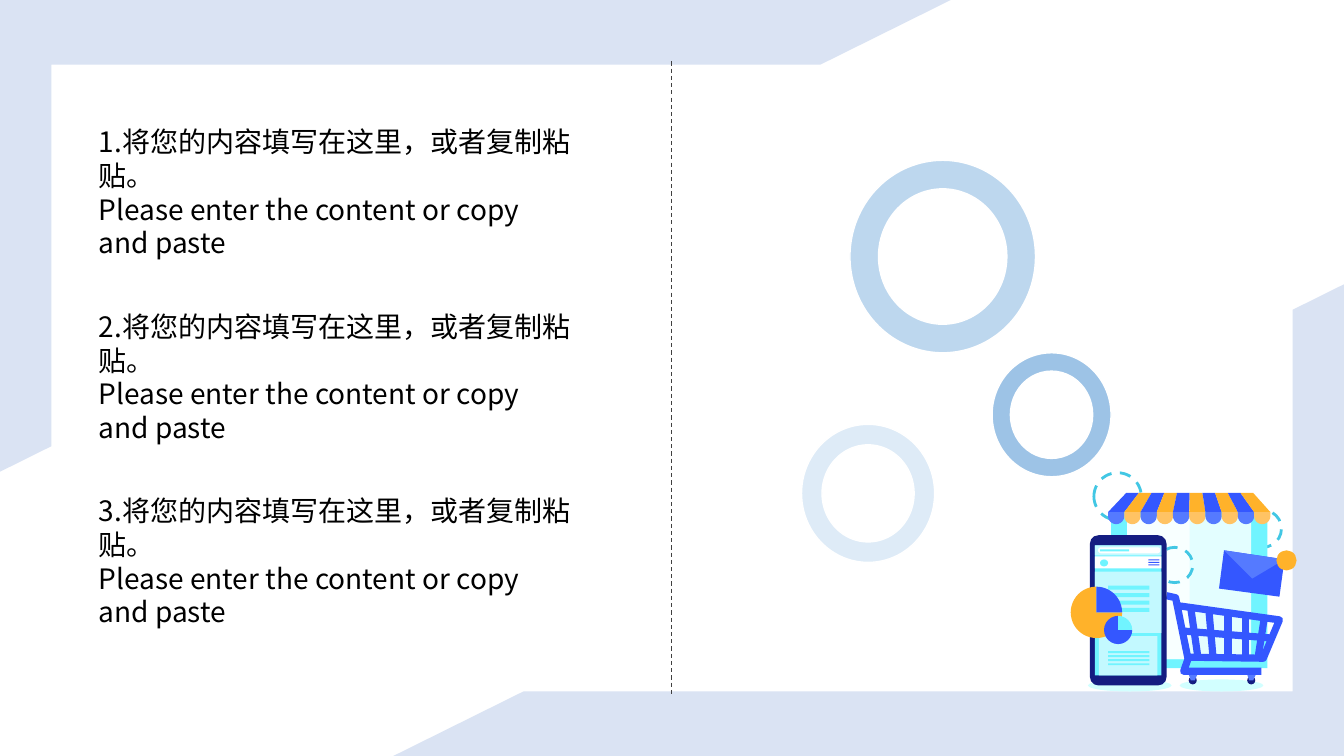
from math import cos, pi, sin

from lxml import etree
from pptx import Presentation
from pptx.dml.color import RGBColor
from pptx.enum.dml import MSO_LINE
from pptx.enum.shapes import MSO_CONNECTOR, MSO_SHAPE
from pptx.oxml.ns import qn
from pptx.util import Inches, Pt

RECT, OVAL, ROUND = MSO_SHAPE.RECTANGLE, MSO_SHAPE.OVAL, MSO_SHAPE.ROUNDED_RECTANGLE
FRAME, DONUT, PIE = MSO_SHAPE.HALF_FRAME, MSO_SHAPE.DONUT, MSO_SHAPE.PIE
STRAIGHT, DASH = MSO_CONNECTOR.STRAIGHT, MSO_LINE.DASH

THEME = {
    "font": "Noto Sans CJK SC", "body": 20, "text": "000000",
    "frame": "DAE3F3", "divider": "404040", "white": "FFFFFF",
    "ring_dark": "9DC3E6", "ring_mid": "BDD7EE", "ring_pale": "DEEBF7",
    "blue": "3457FF", "blue_light": "557AFF", "navy": "141D81",
    "orange": "FFB22A", "orange_light": "FFC364", "dash": "42C7E4",
    "cyan": "70F4FF", "cyan_light": "C3F9FF", "ground": "D2FFFF",
    "wall": "E3FEFF", "wall_light": "F8FFFF",
    "hairline": 0.75, "ring_line": 1, "dash_line": 2, "cart_line": 5.13,
}

prs = Presentation()
prs.slide_width, prs.slide_height = Inches(13.333), Inches(7.5)
COL, ROW = prs.slide_width / 1333, prs.slide_height / 750
slide = prs.slides.add_slide(prs.slide_layouts[6])


def ink(s, color=None, weight="hairline", dash=None):
    if color:
        s.line.color.rgb = RGBColor.from_string(THEME[color])
        s.line.width = Pt(THEME[weight])
        if dash:
            s.line.dash_style = dash
    else:
        s.line.fill.background()
    etree.SubElement(s._element.spPr, qn("a:effectLst"))


def block(kind, x, y, w, h, fill=None, adjust=(), line=None, weight="hairline", dash=None):
    s = slide.shapes.add_shape(kind, round(x * COL), round(y * ROW), round(w * COL), round(h * ROW))
    for i, value in enumerate(adjust):
        s.adjustments[i] = value
    if fill:
        s.fill.solid()
        s.fill.fore_color.rgb = RGBColor.from_string(THEME[fill])
    else:
        s.fill.background()
    ink(s, line, weight, dash)
    return s


block(FRAME, 0, 0, 943, 468, "frame", (0.137, 0.109))
block(FRAME, 390, 282, 943, 468, "frame", (0.137, 0.109)).rotation = 180
divider = slide.shapes.add_connector(
    STRAIGHT, round(666.5 * COL), round(61 * ROW), round(666.5 * COL), round(689 * ROW))
ink(divider, "divider", "hairline", DASH)

for i in range(3):
    tb = slide.shapes.add_textbox(
        round(88 * COL), round((119 + 183 * i) * ROW), round(490 * COL), round(138 * ROW))
    tf = tb.text_frame
    tf.word_wrap = True
    tf.text = f"{i + 1}.将您的内容填写在这里，或者复制粘贴。\nPlease enter the content or copy and paste"
    for p in tf.paragraphs:
        for r in p.runs:
            r.font.size = Pt(THEME["body"])
            r.font.color.rgb = RGBColor.from_string(THEME["text"])
            r.font.name = THEME["font"]
            etree.SubElement(r.font._element, qn("a:ea"), typeface=THEME["font"])

for x, y, w, h, fill in [(984, 350, 118, 123, "ring_dark"), (843, 159, 184, 191, "ring_mid"),
                         (795, 421, 132, 137, "ring_pale")]:
    block(DONUT, x, y, w, h, fill, (0.154,), "white", "ring_line")

for x in (1170, 1079):
    block(OVAL, x, 674, 83, 12, "ground")
for x, y, size in [(1085, 469, 47), (1234, 506, 37)]:
    block(OVAL, x, y, size, size, line="dash", weight="dash_line", dash=DASH)
block(RECT, 1102, 507, 155, 156, "cyan")
block(RECT, 1118, 513, 123, 141, "wall")
block(RECT, 1118, 513, 62, 141, "wall_light")

outlines = []
for i in range(10):
    left, top = 1099 + 16.1 * i, 1117 + 12.6 * i
    stripe, scallop = [("blue", "blue_light"), ("orange", "orange_light")][i % 2]
    outlines.append((stripe, None, [(left, 508), (top, 489), (top + 12.6, 489), (left + 16.1, 508)]))
    arc = [(left + 8.05 + 8.05 * cos(pi * k / 12), 512 + 8 * sin(pi * k / 12)) for k in range(13)]
    outlines.append((scallop, None, [(left, 508), (left + 16.1, 508)] + arc))
outlines += [
    ("blue", None, [(1269, 592), (1209, 584), (1214, 546), (1274, 555)]),
    ("blue_light", None, [(1214, 546), (1242, 574), (1274, 555)]),
    (None, "blue", [(1157, 591), (1166, 593), (1178, 652), (1253, 653), (1269, 615), (1169, 601)]),
]
for x in (1178, 1236):
    block(OVAL, x + 1, 671, 8, 8, "navy")
    outlines.append(("blue_light", None, [(x, 666), (x + 3, 675), (x + 7, 675), (x + 11, 666)]))
outlines.append((None, "blue", [(1179, 652), (1174, 666), (1251, 666)]))

for fill, line, points in outlines:
    corners = [(x * COL, y * ROW) for x, y in points]
    fb = slide.shapes.build_freeform(*corners[0])
    fb.add_line_segments(corners[1:], close=line is None)
    s = fb.convert_to_shape()
    if fill:
        s.fill.solid()
        s.fill.fore_color.rgb = RGBColor.from_string(THEME[fill])
    else:
        s.fill.background()
    ink(s, line, "cart_line")
block(OVAL, 1266, 546, 20, 20, "orange")

for x1, y1, x2, y2 in [(1181, 603, 1188, 651), (1199, 605, 1203, 651), (1218, 608, 1218, 651),
                       (1235, 610, 1235, 651), (1254, 613, 1248, 651), (1173, 626, 1261, 633)]:
    bar = slide.shapes.add_connector(
        STRAIGHT, round(x1 * COL), round(y1 * ROW), round(x2 * COL), round(y2 * ROW))
    ink(bar, "blue", "cart_line")

block(OVAL, 1147, 543, 36, 35, line="dash", weight="dash_line", dash=DASH)
block(ROUND, 1081, 531, 76, 149, "navy", (0.11,))
for y, h, fill in [(541, 129, "cyan"), (541, 10, "cyan_light"), (552, 12, "white"),
                   (567, 61, "cyan_light")]:
    block(RECT, 1086, y, 66, h, fill)
block(OVAL, 1091, 555, 8, 7, "cyan")
for i in range(3):
    block(RECT, 1139, 555 + 2.5 * i, 11, 1, "blue")
block(ROUND, 1089, 543, 62, 6, "white", (0.5,))
block(RECT, 1091, 545, 29, 2, "cyan")
block(RECT, 1090, 631, 58, 39, "cyan_light")
for top, step, thick in [(581, 7.4, 4), (646, 4, 2)]:
    for i in range(4):
        block(RECT, 1099, top + step * i, 41, thick, "cyan")

for x, y, size, main, slice_fill in [(1062, 582, 51, "orange", "blue"), (1095, 611, 28, "blue", "cyan")]:
    block(PIE, x, y, size, size, main, (0, 162))
    block(PIE, x, y, size, size, slice_fill, (162, 0))

prs.save("out.pptx")
